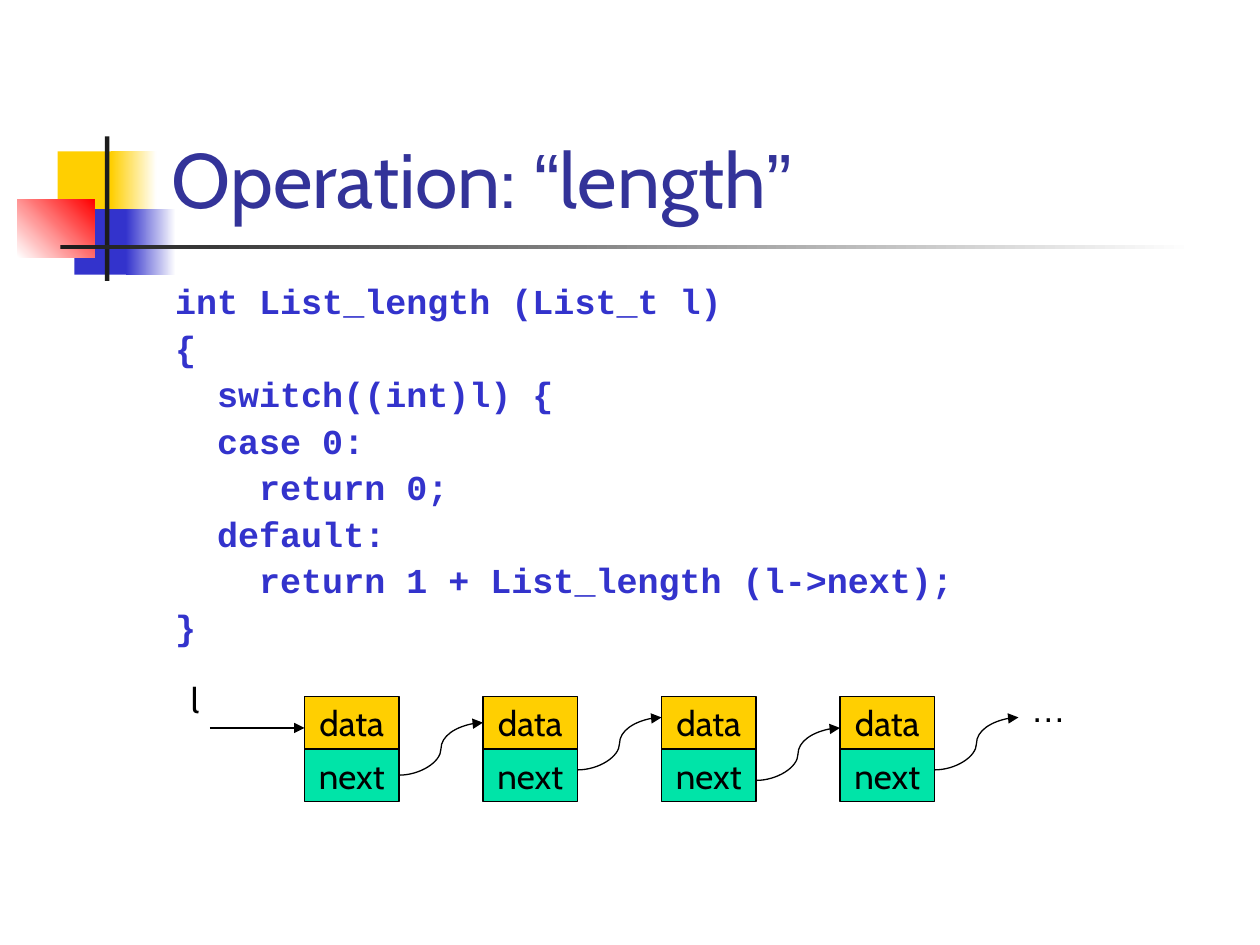
from lxml.etree import SubElement
from pptx import Presentation
from pptx.dml.color import RGBColor
from pptx.enum.shapes import MSO_CONNECTOR, MSO_SHAPE
from pptx.enum.text import MSO_ANCHOR, MSO_AUTO_SIZE, PP_ALIGN
from pptx.oxml.ns import qn
from pptx.util import Pt

COLORS = {
    "yellow": "FFCF01",
    "blue": "3333CC",
    "red": "FF0000",
    "green": "00E4A8",
    "title": "333399",
    "bar": "1C1C1C",
    "black": "000000",
    "white": "FFFFFF",
}

CODE = """int List_length (List_t l)
{
  switch((int)l) {
  case 0:
    return 0;
  default:
    return 1 + List_length (l->next);
}"""


def rgb(color):
    return RGBColor.from_string(COLORS[color])


def write(paragraph, text, font="Cabin", size=20, color="black", bold=False):
    run = paragraph.add_run()
    run.text = text
    run.font.name = font
    run.font.size = Pt(size)
    run.font.bold = bold
    run.font.color.rgb = rgb(color)


class ListSlide:
    line_width = Pt(0.75)

    def __init__(self, presentation):
        self.slide = presentation.slides.add_slide(presentation.slide_layouts[5])
        self.shapes = self.slide.shapes

    def rect(self, box, color, fade_to=None, angle=0):
        rect = self.shapes.add_shape(MSO_SHAPE.RECTANGLE, *map(Pt, box))
        rect.shadow.inherit = False
        rect.line.fill.background()
        if fade_to:
            rect.fill.gradient()
            rect.fill.gradient_angle = angle
            for stop, shade in zip(rect.fill.gradient_stops, (color, fade_to)):
                stop.color.rgb = rgb(shade)
        else:
            rect.fill.solid()
            rect.fill.fore_color.rgb = rgb(color)
        return rect

    def title(self, box, parts):
        title = self.shapes.title
        title.left, title.top, title.width, title.height = map(Pt, box)
        frame = title.text_frame
        frame.word_wrap = True
        frame.auto_size = MSO_AUTO_SIZE.NONE
        frame.vertical_anchor = MSO_ANCHOR.BOTTOM
        heading = frame.paragraphs[0]
        heading.alignment = PP_ALIGN.LEFT
        for text, font in parts:
            write(heading, text, font=font, size=44, color="title")

    def text(self, box, text, wrap=True, line_spacing=1.0, gap=0, **style):
        frame = self.shapes.add_textbox(*map(Pt, box)).text_frame
        frame.word_wrap = wrap
        for number, line in enumerate(text.split("\n")):
            paragraph = frame.add_paragraph() if number else frame.paragraphs[0]
            paragraph.line_spacing = line_spacing
            if number:
                paragraph.space_before = Pt(gap)
            write(paragraph, line, **style)

    def cell(self, box, text, color):
        cell = self.rect(box, color)
        cell.line.color.rgb = rgb("black")
        cell.line.width = self.line_width
        frame = cell.text_frame
        frame.word_wrap = False
        frame.vertical_anchor = MSO_ANCHOR.MIDDLE
        frame.paragraphs[0].alignment = PP_ALIGN.CENTER
        write(frame.paragraphs[0], text)

    def arrow(self, start, end, kind=MSO_CONNECTOR.CURVE):
        arrow = self.shapes.add_connector(kind, *map(Pt, start + end))
        arrow.line.color.rgb = rgb("black")
        arrow.line.width = self.line_width
        properties = arrow._element.spPr
        SubElement(properties.find(qn("a:ln")), qn("a:tailEnd"), type="triangle")
        SubElement(properties, qn("a:effectLst"))


def main():
    presentation = Presentation()
    presentation.slide_width, presentation.slide_height = Pt(720), Pt(540)
    page = ListSlide(presentation)

    page.rect((33, 86.5, 35, 37.5), "yellow")
    page.rect((63.5, 86.5, 26, 37.5), "yellow", fade_to="white")
    page.rect((42.5, 119.5, 33, 37.5), "blue")
    page.rect((72, 119.5, 28.5, 37.5), "blue", fade_to="white")
    page.rect((10, 114, 44, 33), "white", fade_to="red", angle=45)
    page.rect((60, 78, 2.5, 82.5), "bar")
    page.rect((34.5, 140, 648, 2.5), "bar", fade_to="white")

    page.title(
        (91, 16.5, 613.5, 115),
        [("Operation: ", "Cabin"), ("“", "Arial"), ("length", "Cabin"), ("”", "Arial")],
    )
    page.text((93, 159, 612, 324), CODE, line_spacing=0.9, gap=5,
              font="Courier New", color="blue", bold=True)

    first_left, node_top, pitch = 174, 398, 102
    width, height = 54, 30
    link_starts = (443, 440, 446, 440)
    for number, link_y in enumerate(link_starts):
        left = first_left + number * pitch
        page.cell((left, node_top, width, height), "data", "yellow")
        page.cell((left, node_top + height, width, height), "next", "green")
        page.arrow((left + width, link_y), (left + pitch, link_y - height))

    page.arrow((120, 416), (first_left, 416), kind=MSO_CONNECTOR.STRAIGHT)
    page.text((102, 384, 19.5, 31), "l", wrap=False)
    page.text((first_left + len(link_starts) * pitch, 389.5, 54, 31), "…", font="Arial")

    presentation.save("out.pptx")


if __name__ == "__main__":
    main()
